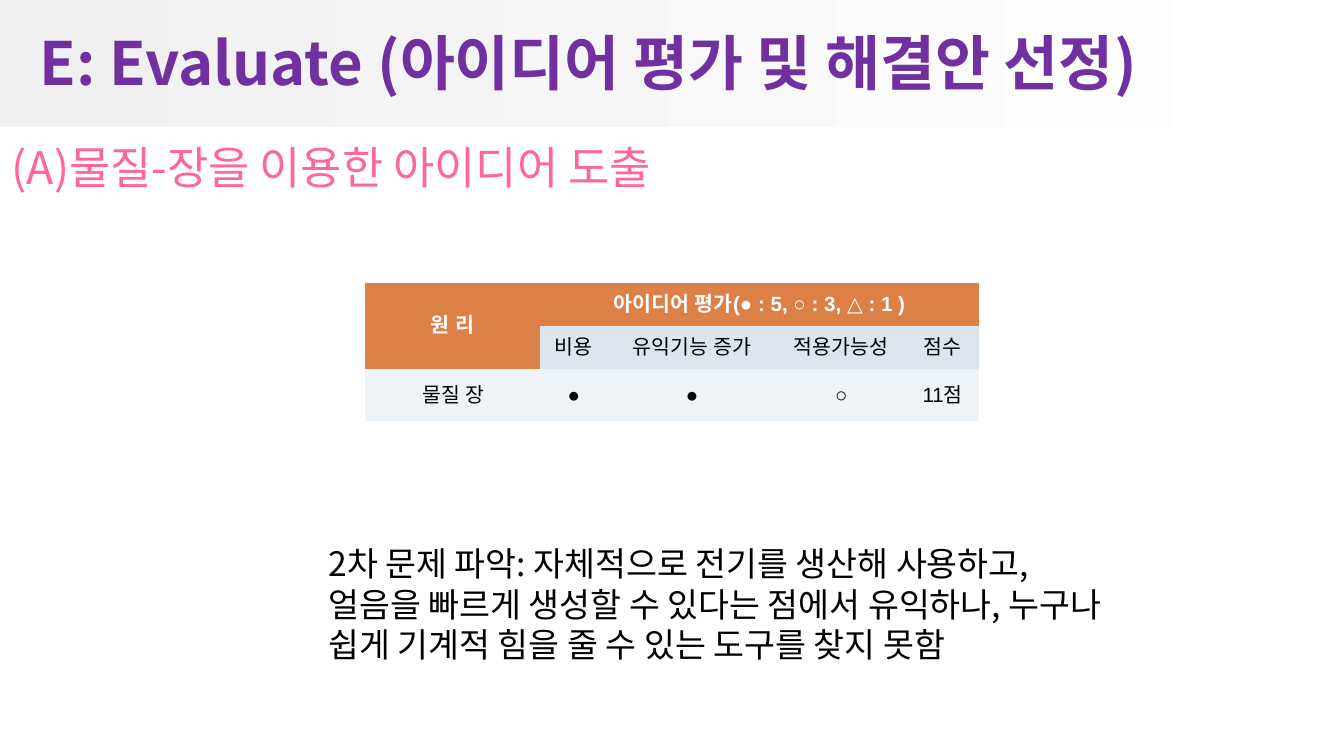
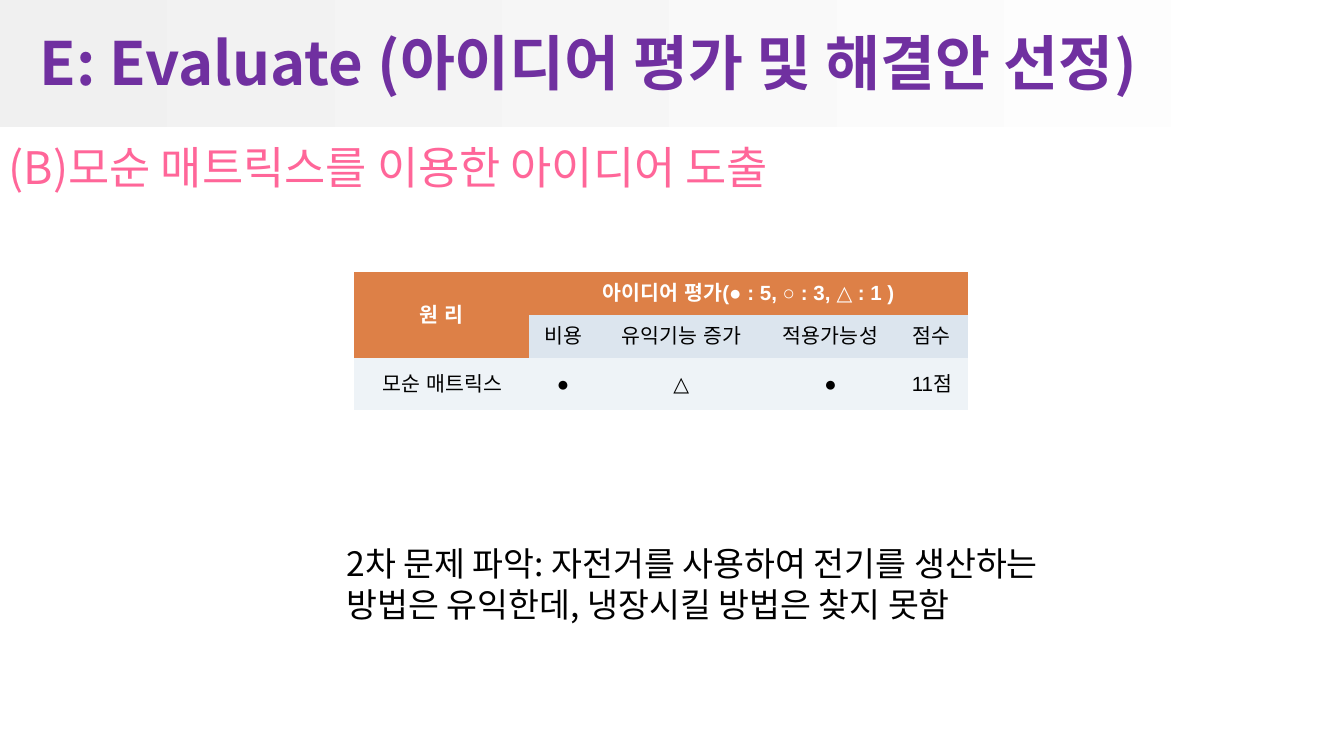
from pptx import Presentation
from pptx.dml.color import RGBColor
from pptx.enum.shapes import MSO_SHAPE
from pptx.enum.text import MSO_ANCHOR, MSO_AUTO_SIZE, PP_ALIGN
from pptx.oxml.ns import qn
from pptx.util import Inches, Pt

WIDE = Inches(10)
HIGH = WIDE * 9 // 16

PURPLE = RGBColor(0x70, 0x30, 0xA0)
PINK = RGBColor(0xFF, 0x66, 0x99)
ORANGE = RGBColor(0xDD, 0x80, 0x47)
BLUE = RGBColor(0xDC, 0xE5, 0xEE)
PALE = RGBColor(0xEE, 0xF3, 0xF7)
GREY = RGBColor(0xF0, 0xF0, 0xF0)
WHITE = RGBColor(0xFF, 0xFF, 0xFF)
BLACK = RGBColor(0, 0, 0)

SANS = "Noto Sans CJK KR"
ARIAL = "Arial"
LEFT, CENTER = PP_ALIGN.LEFT, PP_ALIGN.CENTER
TOP, MIDDLE = MSO_ANCHOR.TOP, MSO_ANCHOR.MIDDLE
FIXED, GROW = MSO_AUTO_SIZE.NONE, MSO_AUTO_SIZE.SHAPE_TO_FIT_TEXT
RECT = MSO_SHAPE.RECTANGLE
PLAIN = "{2D5ABB26-0587-4C30-8999-92F81FD0307C}"

TITLE = "E: Evaluate (아이디어 평가 및 해결안 선정)"
SCALE = "아이디어 평가(● : 5, ○ : 3, △ : 1 )"
HEADS = ["비용", "유익기능 증가", "적용가능성", "점수"]
COLS = [13, 5.1, 12.5, 9.7, 5.4]
ROWS = [5.7, 5.7, 6.9]

# Boxes are left, top, width, height in percent of the slide.
PAGES = [
    {
        "head": "(A)물질-장을 이용한 아이디어 도출",
        "head_box": (-0.2, 17.62, 49.7, 8.9),
        "marks": ["물질 장", "●", "●", "○", "11점"],
        "grid_at": (27.15, 37.4),
        "note": "2차 문제 파악: 자체적으로 전기를 생산해 사용하고, "
                "얼음을 빠르게 생성할 수 있다는 점에서 유익하나, "
                "누구나 쉽게 기계적 힘을 줄 수 있는 도구를 찾지 못함",
        "note_box": (23.45, 71, 59.8, 17.97),
    },
    {
        "head": "(B)모순 매트릭스를 이용한 아이디어 도출",
        "head_box": (-0.4, 17.62, 58.6, 8.9),
        "marks": ["모순 매트릭스", "●", "△", "●", "11점"],
        "grid_at": (26.35, 36),
        "note": "2차 문제 파악: 자전거를 사용하여 전기를 생산하는 방법은 "
                "유익한데, 냉장시킬 방법은 찾지 못함",
        "note_box": (24.8, 71, 54.3, 12.63),
    },
]


def across(share):
    return int(WIDE * share / 100)


def down(share):
    return int(HIGH * share / 100)


def area(box):
    left, top, width, height = box
    return across(left), down(top), across(width), down(height)


def write(frame, text, size=18, color=BLACK, bold=False, font=SANS, align=LEFT):
    """Put one formatted paragraph, without kerning, in a frame and return it."""
    para = frame.paragraphs[0]
    para.alignment = align
    run = para.add_run()
    run.text = text
    run.font.size = Pt(size)
    run.font.bold = bold
    run.font.color.rgb = color
    run.font.name = font
    props = run.font._element
    props.set("kern", "0")
    east = props.makeelement(qn("a:ea"), {"typeface": font})
    props.find(qn("a:latin")).addnext(east)
    return para


def add_band(slide):
    """Draw the title band once and hand it to the layout."""
    band = slide.shapes.add_shape(RECT, *area((0, 0, 99.6, 16.8)))
    band.shadow.inherit = False
    band.line.fill.background()
    band.fill.gradient()
    band.fill.gradient_angle = 0
    for stop, color in zip(band.fill.gradient_stops, (GREY, WHITE)):
        stop.color.rgb = color
    slide.slide_layout.shapes.element.insert(2, band.element)


def set_title(slide):
    title = slide.shapes.title
    title.left, title.top, title.width, title.height = area((1.95, 2.85, 90, 10.5))
    frame = title.text_frame
    frame.auto_size = FIXED
    frame.word_wrap = True
    frame.vertical_anchor = MIDDLE
    write(frame, TITLE, size=32, color=PURPLE, bold=True)


def add_text(slide, box, text, **style):
    frame = slide.shapes.add_textbox(*area(box)).text_frame
    frame.word_wrap = True
    frame.auto_size = GROW
    frame.vertical_anchor = TOP
    write(frame, text, **style)


def fill_cell(cell, text, fill, color=BLACK, bold=False):
    cell.fill.solid()
    cell.fill.fore_color.rgb = fill
    cell.vertical_anchor = MIDDLE
    return write(cell.text_frame, text, size=11, color=color, bold=bold,
                 font=ARIAL, align=CENTER)


def indent(cell, para):
    """Give the row label its tight margins and hanging indent."""
    cell.margin_left = Inches(0.06)
    cell.margin_right = cell.margin_top = cell.margin_bottom = Inches(0.04)
    para.space_before = Pt(2.2)
    props = para._p.get_or_add_pPr()
    props.set("marL", str(Inches(0.25)))
    props.set("indent", str(-Inches(0.25)))


def add_grid(slide, spot, marks):
    box = (*spot, sum(COLS), sum(ROWS))
    shape = slide.shapes.add_table(len(ROWS), len(COLS), *area(box))
    shape.element.find(".//" + qn("a:tableStyleId")).text = PLAIN
    grid = shape.table
    for col, share in zip(grid.columns, COLS):
        col.width = across(share)
    for row, share in zip(grid.rows, ROWS):
        row.height = down(share)

    grid.cell(0, 0).merge(grid.cell(1, 0))
    grid.cell(0, 1).merge(grid.cell(0, len(COLS) - 1))
    for col, text in enumerate(("원 리", SCALE)):
        fill_cell(grid.cell(0, col), text, ORANGE, color=WHITE, bold=True)
    for col, text in enumerate(HEADS, 1):
        fill_cell(grid.cell(1, col), text, BLUE)
    for col, text in enumerate(marks):
        para = fill_cell(grid.cell(2, col), text, PALE)
        if col == 0:
            indent(grid.cell(2, col), para)


def main():
    deck = Presentation()
    deck.slide_width, deck.slide_height = WIDE, HIGH
    layout = deck.slide_layouts[5]
    for page in PAGES:
        slide = deck.slides.add_slide(layout)
        if page is PAGES[0]:
            add_band(slide)
        set_title(slide)
        add_grid(slide, page["grid_at"], page["marks"])
        add_text(slide, page["head_box"], page["head"],
                 size=24, color=PINK, align=CENTER)
        add_text(slide, page["note_box"], page["note"])
    deck.save("out.pptx")


if __name__ == "__main__":
    main()
